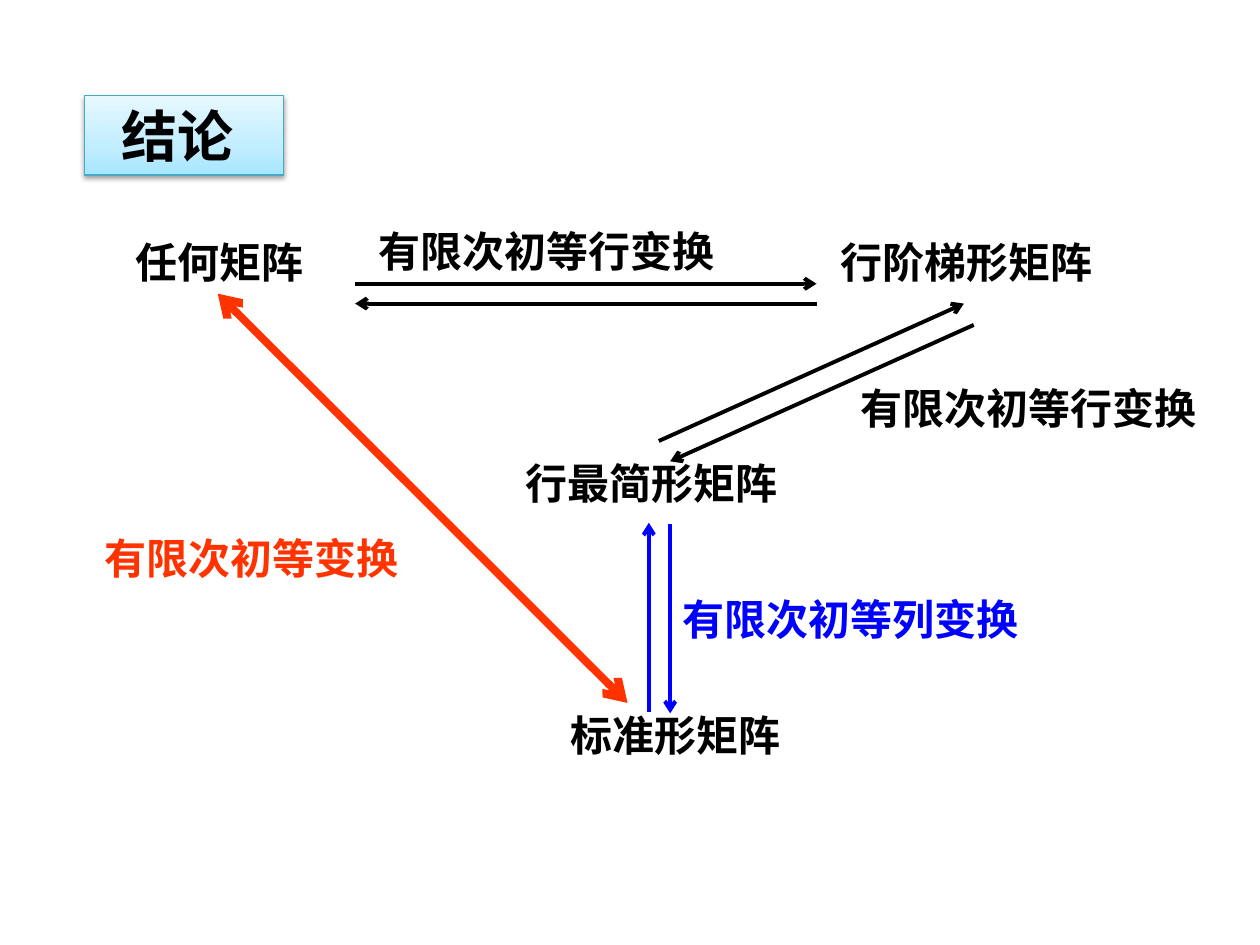
from copy import deepcopy

from lxml import etree
from pptx import Presentation
from pptx.dml.color import RGBColor
from pptx.enum.shapes import MSO_CONNECTOR, MSO_SHAPE
from pptx.enum.text import MSO_ANCHOR, PP_ALIGN
from pptx.oxml import parse_xml
from pptx.oxml.ns import nsdecls, qn
from pptx.util import Cm, Pt

STRAIGHT = MSO_CONNECTOR.STRAIGHT
RECTANGLE = MSO_SHAPE.RECTANGLE
MIDDLE = MSO_ANCHOR.MIDDLE
LEFT, CENTER = PP_ALIGN.LEFT, PP_ALIGN.CENTER

BLACK, BLUE, RED = "000000", "0000FF", "FF3300"


def rgb(hex_code):
    return RGBColor.from_string(hex_code)


class MatrixSlide:
    """Holds the style and the current slide."""

    text_font = {"name": "Times New Roman", "size": Pt(24), "bold": True}
    title_font = {"name": "Calibri", "size": Pt(32), "bold": True}
    label_height = 1.27
    title_stops = [(0, "A7E6FF"), (0.35, "C1EDFF"), (1, "E7F8FF")]
    title_border = "46AAC5"

    def __init__(self, presentation):
        self.slide = presentation.slides.add_slide(presentation.slide_layouts[6])

    def set_text(self, shape, text, font_format, color, align):
        shape.text_frame.word_wrap = True
        paragraph = shape.text_frame.paragraphs[0]
        paragraph.alignment = align
        run = paragraph.add_run()
        run.text = text
        for attribute, value in font_format.items():
            setattr(run.font, attribute, value)
        run.font.color.rgb = rgb(color)

    def label(self, text, left, top, width, color=BLACK, align=LEFT):
        box = self.slide.shapes.add_textbox(
            Cm(left), Cm(top), Cm(width), Cm(self.label_height))
        self.set_text(box, text, self.text_font, color, align)

    def arrow(self, start, end, color=BLACK, width=2.25, both_ends=False):
        line = self.slide.shapes.add_connector(
            STRAIGHT, *(Cm(value) for value in (*start, *end)))
        line.line.color.rgb = rgb(color)
        line.line.width = Pt(width)
        properties = line._element.spPr
        outline = properties.find(qn("a:ln"))
        for tag in ("a:headEnd", "a:tailEnd") if both_ends else ("a:tailEnd",):
            etree.SubElement(outline, qn(tag), type="arrow")
        etree.SubElement(properties, qn("a:effectLst"))

    def title(self, text, left, top, width, height, indent):
        plate = self.slide.shapes.add_shape(
            RECTANGLE, Cm(left), Cm(top), Cm(width), Cm(height))
        plate.line.color.rgb = rgb(self.title_border)
        plate.line.width = Pt(0.75)

        # Vertical gradient with three stops
        plate.fill.gradient()
        plate.fill.gradient_angle = 90
        stop_list = plate._element.spPr.find(".//" + qn("a:gsLst"))
        stop_list.append(deepcopy(stop_list[-1]))
        for stop, (position, color) in zip(plate.fill.gradient_stops, self.title_stops):
            stop.position = position
            stop.color.rgb = rgb(color)

        # Soft shadow below
        plate._element.spPr.append(parse_xml(
            f'<a:effectLst {nsdecls("a")}><a:outerShdw blurRad="{Pt(3.1)}" '
            f'dist="{Pt(1.6)}" dir="5400000" rotWithShape="0"><a:srgbClr val="{BLACK}">'
            '<a:alpha val="38000"/></a:srgbClr></a:outerShdw></a:effectLst>'))

        plate.text_frame.margin_left = Cm(indent)
        plate.text_frame.vertical_anchor = MIDDLE
        self.set_text(plate, text, self.title_font, BLACK, LEFT)


def main():
    presentation = Presentation()
    presentation.slide_width, presentation.slide_height = Cm(25.4), Cm(19.05)
    page = MatrixSlide(presentation)

    page.title("结论", 1.7, 1.93, 4.01, 1.6, indent=0.76)

    # Matrix forms
    page.label("任何矩阵", 2.49, 4.65, 4.65)
    page.label("行阶梯形矩阵", 16.69, 4.65, 6.55)
    page.label("行最简形矩阵", 10.34, 9.09, 6.55)
    page.label("标准形矩阵", 10.34, 14.17, 6.55, align=CENTER)

    # Any matrix and row echelon form
    page.label("有限次初等行变换", 7.39, 4.42, 7.75)
    page.arrow((7.16, 5.72), (16.46, 5.72))
    page.arrow((16.46, 6.12), (7.16, 6.12))

    # Row echelon form and reduced form
    page.label("有限次初等行变换", 17.09, 7.59, 7.75)
    page.arrow((13.28, 8.89), (19.43, 6.12))
    page.arrow((19.63, 6.55), (13.51, 9.3))

    # Reduced form and standard form
    page.label("有限次初等列变换", 13.51, 11.84, 7.95, BLUE)
    page.arrow((13.51, 10.57), (13.51, 14.38), BLUE)
    page.arrow((13.08, 14.35), (13.08, 10.54), BLUE)

    # Any matrix and standard form
    page.label("有限次初等变换", 1.85, 10.62, 6.68, RED)
    page.arrow((4.39, 5.92), (12.65, 14.17), RED, width=4.5, both_ends=True)

    presentation.save("out.pptx")


if __name__ == "__main__":
    main()
